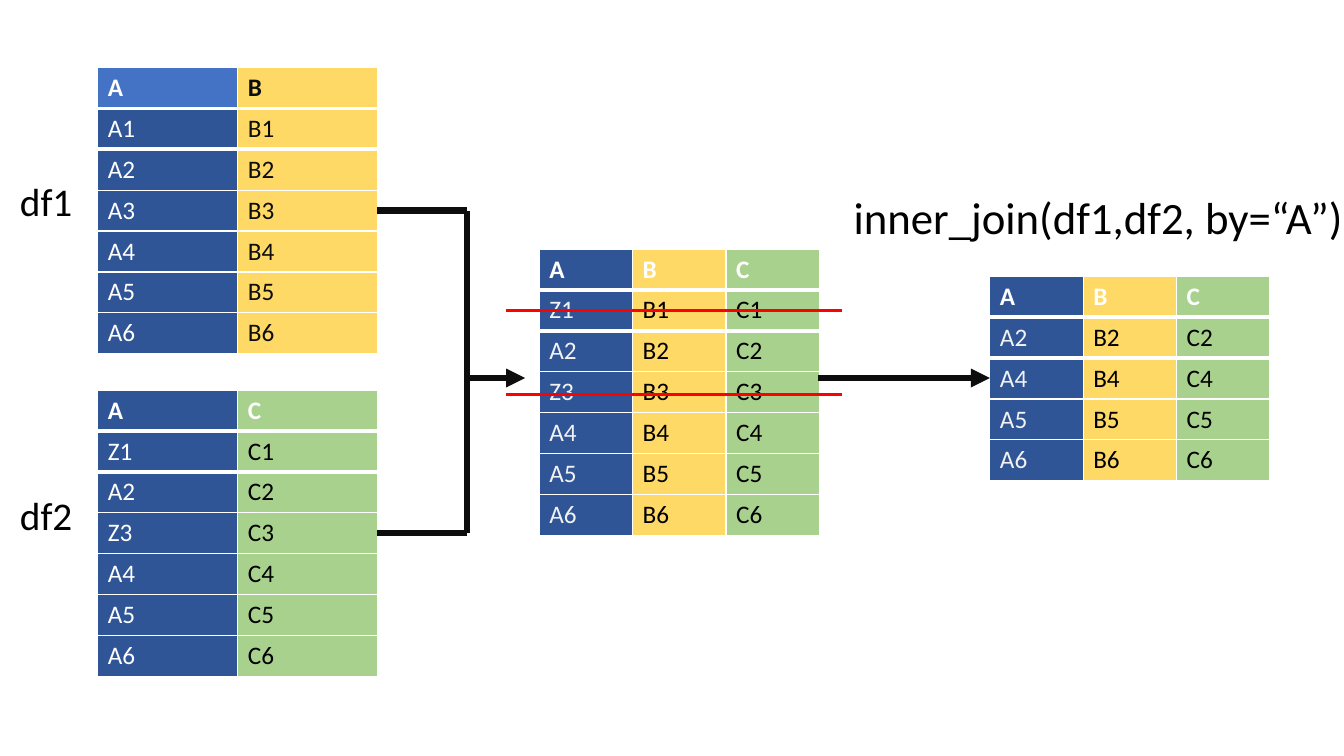
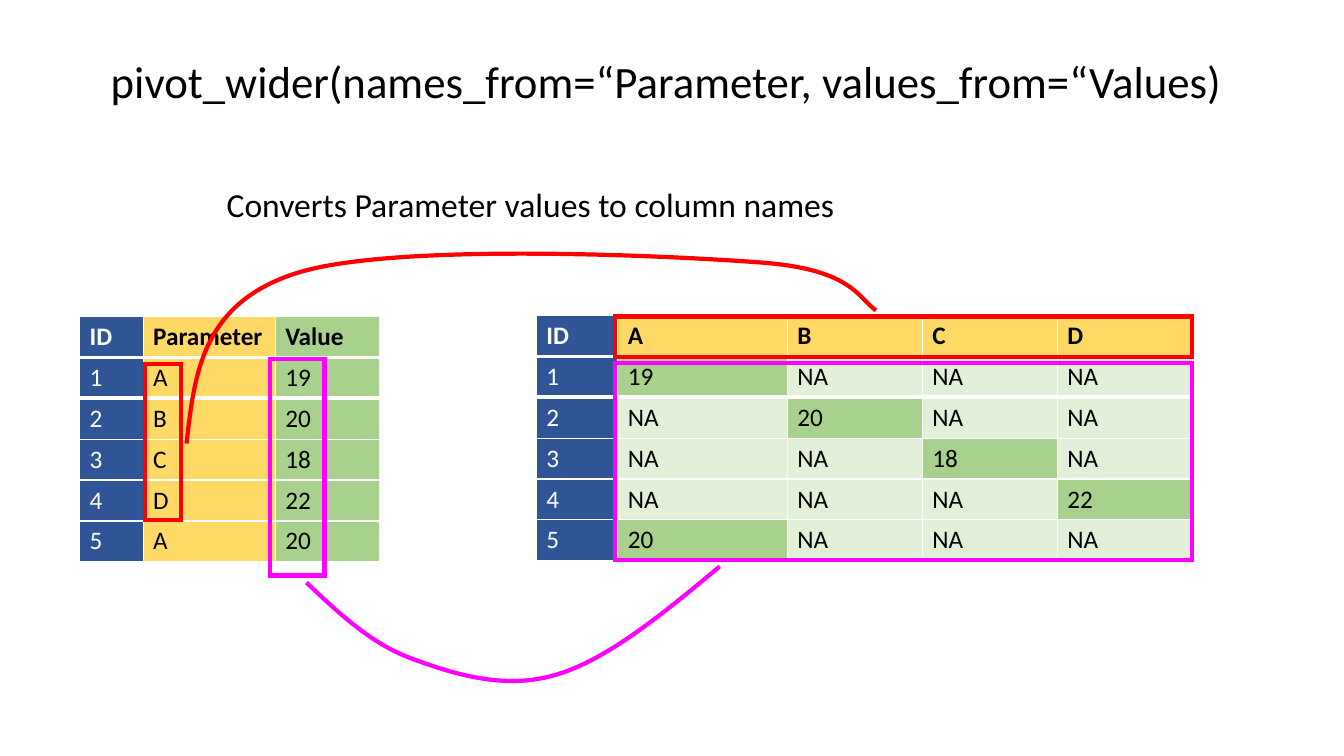
from lxml import etree
from pptx import Presentation
from pptx.dml.color import RGBColor
from pptx.enum.shapes import MSO_CONNECTOR as CONN, MSO_SHAPE as SHAPE
from pptx.enum.text import MSO_AUTO_SIZE as AUTO
from pptx.oxml.ns import qn
from pptx.util import Inches, Pt

FONT = "Calibri"
COLORS = {
    "white": "FFFFFF", "soft": "F2F2F2", "black": "000000", "ink": "0D0D0D",
    "navy": "2F5597", "blue": "4472C4", "yellow": "FFD966", "green": "A9D18E",
    "pale": "E2F0D9", "red": "FF0000", "magenta": "FF00FF",
}


def rgb(name):
    return RGBColor.from_string(COLORS[name])


def style_text(p, size, color, bold=False):
    p.font.name, p.font.size, p.font.bold = FONT, Pt(size), bold
    p.font.color.rgb = rgb(color)


def add_text(slide, box, text, size):
    tf = slide.shapes.add_textbox(*map(Inches, box)).text_frame
    tf.word_wrap = True
    tf.auto_size = AUTO.SHAPE_TO_FIT_TEXT
    p = tf.paragraphs[0]
    p.text = text
    style_text(p, size, "black")


def set_border(cell, side, width):
    """White border; borders must precede the fill in the cell properties."""
    ln = etree.Element(qn(f"a:{side}"), w=str(Pt(width)))
    fill = etree.SubElement(ln, qn("a:solidFill"))
    etree.SubElement(fill, qn("a:srgbClr"), val=COLORS["white"])
    cell._tc.get_or_add_tcPr().insert(0, ln)


def add_grid(slide, box, rows, fills, head, body, widths=None):
    """Table with one fill, heading colour and body colour per column."""
    frame = slide.shapes.add_table(len(rows), len(fills), *map(Inches, box))
    table = frame.table
    table.horz_banding = False
    for col, width in zip(table.columns, widths or []):
        col.width = Inches(width)
    for r, row in enumerate(rows):
        colors = body if r else head
        for c, text in enumerate(row):
            cell = table.cell(r, c)
            cell.fill.solid()
            cell.fill.fore_color.rgb = rgb("pale" if text == "NA" else fills[c])
            p = cell.text_frame.paragraphs[0]
            p.text = text
            style_text(p, 18, colors[c], bold=r == 0)
    # Thick rule under the heading row, set on both sides of the shared edge
    for c in range(len(fills)):
        set_border(table.cell(0, c), "lnB", 3)
        set_border(table.cell(1, c), "lnT", 3)
    return table


def add_line(shapes, start, end, color, width, arrow=False):
    ends = map(Inches, (*start, *end))
    line = shapes.add_connector(CONN.STRAIGHT, *ends)
    line.line.color.rgb = rgb(color)
    line.line.width = Pt(width)
    sp_pr = line._element.spPr
    if arrow:
        etree.SubElement(sp_pr.find(qn("a:ln")), qn("a:tailEnd"), type="triangle")
    etree.SubElement(sp_pr, qn("a:effectLst"))


def outline(sp, color):
    sp.shadow.inherit = False
    sp.fill.background()
    sp.line.color.rgb = rgb(color)
    sp.line.width = Pt(3)
    ln = sp._element.spPr.find(qn("a:ln"))
    etree.SubElement(ln, qn("a:miter"), lim="800000")


def add_frame(slide, box, color):
    outline(slide.shapes.add_shape(SHAPE.RECTANGLE, *map(Inches, box)), color)


def add_curve(slide, box, start, segments, color):
    """Open Bezier line; each segment is two control points and an end."""
    left, top, width, height = box
    builder = slide.shapes.build_freeform(Inches(left), Inches(top))
    corner = (Inches(left + width), Inches(top + height))
    builder.add_line_segments([corner], close=False)
    sp = builder.convert_to_shape()
    outline(sp, color)

    # Bend the path inside its box
    path = next(sp._element.iter(qn("a:path")))
    for child in list(path):
        path.remove(child)
    for tag, points in [("moveTo", [start])] + [("cubicBezTo", s) for s in segments]:
        step = etree.SubElement(path, qn(f"a:{tag}"))
        for x, y in points:
            etree.SubElement(step, qn("a:pt"), x=str(Inches(x - left)),
                             y=str(Inches(y - top)))


def add_joined(slide, box, keys):
    """Three-column join result; keys pair a row number with its A value."""
    rows = ["ABC"] + [(key, f"B{n}", f"C{n}") for n, key in keys]
    add_grid(slide, box, rows, ("navy", "yellow", "green"),
             ("white",) * 3, ("soft", "black", "black"))


def add_bracket(slide, left, mid, right, top, bottom, arrow_y):
    shapes = slide.shapes.add_group_shape().shapes
    for y in (top, bottom):
        add_line(shapes, (left, y), (mid, y), "ink", 4.5)
    add_line(shapes, (mid, top), (mid, bottom), "ink", 4.5)
    add_line(shapes, (mid, arrow_y), (right, arrow_y), "ink", 4.5, arrow=True)


def build_join(slide):
    numbers = range(1, 7)
    keys = [(n, f"Z{n}" if n in (1, 3) else f"A{n}") for n in numbers]
    matches = [(n, key) for n, key in keys if key.startswith("A")]

    # Source tables
    df1 = add_grid(slide, (0.97, 0.67, 2.78, 2.84),
                   ["AB"] + [(f"A{n}", f"B{n}") for n in numbers],
                   ("navy", "yellow"), ("white", "ink"), ("white", "ink"))
    df1.cell(0, 0).fill.fore_color.rgb = rgb("blue")
    add_grid(slide, (0.97, 3.87, 2.78, 2.84),
             ["AC"] + [(key, f"C{n}") for n, key in keys],
             ("navy", "green"), ("white", "white"), ("white", "black"))

    # Result and the steps leading to it
    add_text(slide, (8.37, 1.83, 5.12, 0.64), "inner_join(df1,df2, by=“A”)", 32)
    add_joined(slide, (9.82, 2.74, 2.78, 2.03), matches)
    add_bracket(slide, 3.74, 4.63, 5.21, 2.09, 5.29, 3.75)
    add_joined(slide, (5.35, 2.47, 2.78, 2.84), keys)
    add_line(slide.shapes, (8.12, 3.75), (9.82, 3.75), "ink", 4.5, arrow=True)

    # Strikes through unmatched rows
    for y in (3.08, 3.91):
        add_line(slide.shapes, (5.02, y), (8.35, y), "red", 2.25)

    for name, y in (("df1", 1.71), ("df2", 4.83)):
        add_text(slide, (0.1, y, 0.86, 0.57), name, 28)


def build_pivot(slide):
    records = [("1", "A", "19"), ("2", "B", "20"), ("3", "C", "18"),
               ("4", "D", "22"), ("5", "A", "20")]
    names = "ABCD"
    wide = [("ID", *names)] + [
        (key, *(value if name == param else "NA" for name in names))
        for key, param, value in records]

    # Long and wide tables
    add_grid(slide, (0.79, 3.14, 2.98, 2.43),
             [("ID", "Parameter", "Value")] + records,
             ("navy", "yellow", "green"), ("white", "black", "black"),
             ("white", "black", "black"), (0.63, 1.31, 1.04))
    text_colors = ("white",) + ("black",) * 4
    table = add_grid(slide, (5.32, 3.13, 6.51, 2.43), wide,
                     ("navy",) + ("green",) * 4, text_colors, text_colors,
                     (0.81, 1.68, 1.34, 1.34, 1.34))
    for c in range(1, 5):
        table.cell(0, c).fill.fore_color.rgb = rgb("yellow")

    add_text(slide, (1, 0.48, 11.75, 0.64),
             "pivot_wider(names_from=“Parameter, values_from=“Values)", 32)

    # Parameter values become column names
    add_frame(slide, (1.44, 3.61, 0.36, 1.55), "red")
    add_curve(slide, (1.85, 2.52, 6.85, 1.89), (1.85, 4.4), [
        ((1.93, 3.71), (2, 3.01), (2.94, 2.71)),
        ((3.88, 2.41), (6.53, 2.53), (7.49, 2.6)),
        ((8.44, 2.66), (8.5, 2.94), (8.69, 3.08))], "red")
    add_text(slide, (2.15, 1.78, 6.23, 0.5),
             "Converts Parameter values to column names", 24)

    # Values fill the wide table
    add_frame(slide, (2.68, 3.56, 0.54, 2.15), "magenta")
    add_frame(slide, (6.1, 3.6, 5.73, 1.96), "magenta")
    add_curve(slide, (3.04, 5.62, 4.1, 1.13), (3.04, 5.78), [
        ((3.36, 6.08), (3.68, 6.39), (4.1, 6.54)),
        ((4.51, 6.69), (5.02, 6.85), (5.53, 6.69)),
        ((6.03, 6.54), (6.59, 6.08), (7.14, 5.62))], "magenta")
    add_frame(slide, (6.1, 3.14, 5.73, 0.4), "red")


def main():
    prs = Presentation()
    prs.slide_width, prs.slide_height = Inches(40 / 3), Inches(7.5)
    for build in (build_join, build_pivot):
        build(prs.slides.add_slide(prs.slide_layouts[6]))
    prs.save("out.pptx")


if __name__ == "__main__":
    main()
